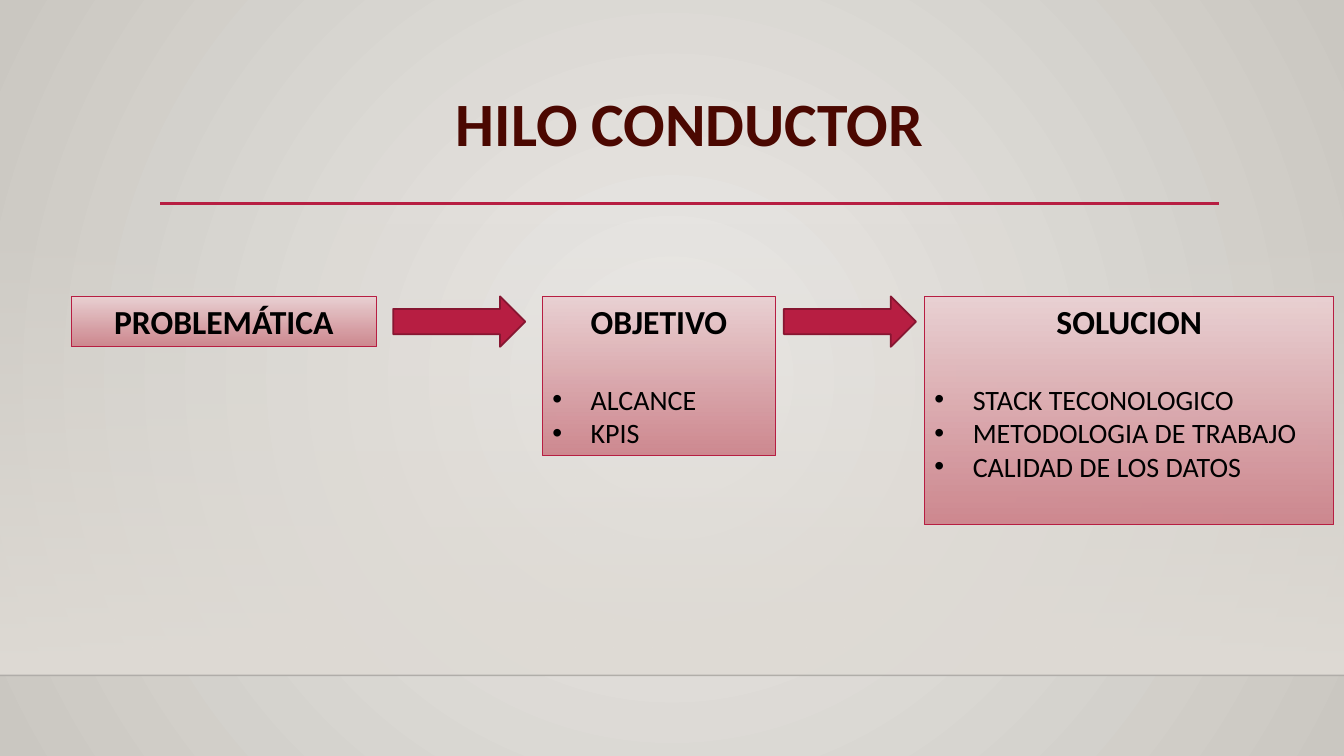
from lxml import etree
from pptx import Presentation, util as u
from pptx.dml.color import RGBColor
from pptx.enum import shapes, text
from pptx.oxml.ns import qn

FONT = "Calibri"
RED, DARK_RED, MAROON, BLACK = "B71E42", "871631", "4B0801", "000000"
STEPS = [
    (0, 22.65, 6.67, "PROBLEMÁTICA", []),
    (35.03, 17.33, 21.07, "OBJETIVO", ["ALCANCE", "KPIS"]),
    (63.46, 30.46, 30.13, "SOLUCION",
     ["STACK TECONOLOGICO", "METODOLOGIA DE TRABAJO", "CALIDAD DE LOS DATOS"]),
]
HEAD_H, ARROW_W = 6.67, 9.83

prs = Presentation()
prs.slide_width, prs.slide_height = u.Inches(13.33), u.Inches(7.5)


def rgb(value):
    return RGBColor.from_string(value)


def pct(x, y, w, h):
    return [round(share * size / 100) for share, size in
            zip((x, y, w, h), (prs.slide_width, prs.slide_height) * 2)]


def set_alpha(parent, percent):
    color = next(parent.iter(qn("a:srgbClr")))
    etree.SubElement(color, qn("a:alpha")).set("val", str(percent * 1000))


def set_gradient(fill, owner, colors, alphas=(100, 100)):
    fill.gradient()
    for stop, color in zip(fill.gradient_stops, colors):
        stop.color.rgb = rgb(color)
    for gs, alpha in zip(owner.iter(qn("a:gs")), alphas):
        if alpha < 100:
            set_alpha(gs, alpha)


def add_shape(slide, kind, box):
    sp = slide.shapes.add_shape(kind, *pct(*box))
    sp.shadow.inherit = False
    return sp


def add_line(slide, x1, x2, y, color, width, alpha=100):
    left, top, right, bottom = pct(x1, y, x2, y)
    cn = slide.shapes.add_connector(
        shapes.MSO_CONNECTOR.STRAIGHT, left, top, right, bottom)
    cn.line.color.rgb, cn.line.width = rgb(color), u.Pt(width)
    if alpha < 100:
        set_alpha(cn.element, alpha)
    etree.SubElement(cn.element.spPr, qn("a:effectLst"))


def write(p, words, size, color=BLACK, bold=False, align=text.PP_ALIGN.LEFT,
          after=0, bullet=False):
    p.alignment, p.space_after = align, u.Pt(after)
    r = p.add_run()
    r.text = words
    r.font.name, r.font.size, r.font.bold = FONT, u.Pt(size), bold
    r.font.color.rgb = rgb(color)
    if bullet:
        pPr = p._p.get_or_add_pPr()
        pPr.set("marL", str(u.Inches(0.38)))
        pPr.set("indent", str(-u.Inches(0.38)))
        etree.SubElement(pPr, qn("a:buFont")).set("typeface", "Arial")
        etree.SubElement(pPr, qn("a:buChar")).set("char", "•")


def add_backdrop(slide, box):
    set_gradient(slide.background.fill, slide.element, ("ECEAE7", "CAC7C1"))
    grad = next(slide.element.iter(qn("a:gradFill")))
    grad.remove(grad.find(qn("a:lin")))
    circle = etree.SubElement(grad, qn("a:path"))
    circle.set("path", "circle")
    center = etree.SubElement(circle, qn("a:fillToRect"))
    for side in "ltrb":
        center.set(side, "50000")
    x, y, w, h = box
    sp = add_shape(slide, shapes.MSO_SHAPE.RECTANGLE, box)
    set_gradient(sp.fill, sp.element, ("DFDBD5", "DFDBD5"), (0, 100))
    sp.fill.gradient_angle = 270
    sp.line.fill.background()
    add_line(slide, x, x + w, y + h, "000001", 1, alpha=20)


def add_title(slide, box):
    x, y, w, h = box
    add_line(slide, x, x + w, y + h, RED, 2.5)
    title = slide.shapes.title
    title.left, title.top, title.width, title.height = pct(*box)
    tf = title.text_frame
    tf.vertical_anchor, tf.auto_size = text.MSO_ANCHOR.TOP, text.MSO_AUTO_SIZE.NONE
    p = tf.paragraphs[0]
    p.line_spacing = 0.9
    write(p, "HILO CONDUCTOR", 44, MAROON, True, text.PP_ALIGN.CENTER)


def add_step(slide, box, heading, items):
    sp = add_shape(slide, shapes.MSO_SHAPE.RECTANGLE, box)
    set_gradient(sp.fill, sp.element, ("EAD1D3", "CD828A"), (100, 92))
    sp.fill.gradient_angle = 270
    sp.line.color.rgb, sp.line.width = rgb(RED), u.Pt(0.75)
    tf = sp.text_frame
    tf.word_wrap, tf.vertical_anchor = True, text.MSO_ANCHOR.TOP
    write(tf.paragraphs[0], heading, 24, bold=True,
          align=text.PP_ALIGN.CENTER, after=29 if items else 0)
    for item in items:
        write(tf.add_paragraph(), item, 20, bullet=True)


def add_arrow(slide, box):
    sp = add_shape(slide, shapes.MSO_SHAPE.RIGHT_ARROW, box)
    sp.fill.solid()
    sp.fill.fore_color.rgb = rgb(RED)
    sp.line.color.rgb, sp.line.width = rgb(DARK_RED), u.Pt(1.25)


def add_flow(slide, x, y):
    for offset, w, h, heading, items in STEPS:
        add_step(slide, (x + offset, y, w, h), heading, items)
    for (offset, w, *_), (following, *_) in zip(STEPS, STEPS[1:]):
        middle = x + (offset + w + following) / 2
        add_arrow(slide, (middle - ARROW_W / 2, y, ARROW_W, HEAD_H))


slide = prs.slides.add_slide(prs.slide_layouts[5])
add_backdrop(slide, (0, 29.47, 100, 59.87))
add_title(slide, (11.93, 11.73, 78.8, 15.2))
add_flow(slide, 5.33, 39.2)
prs.save("out.pptx")
